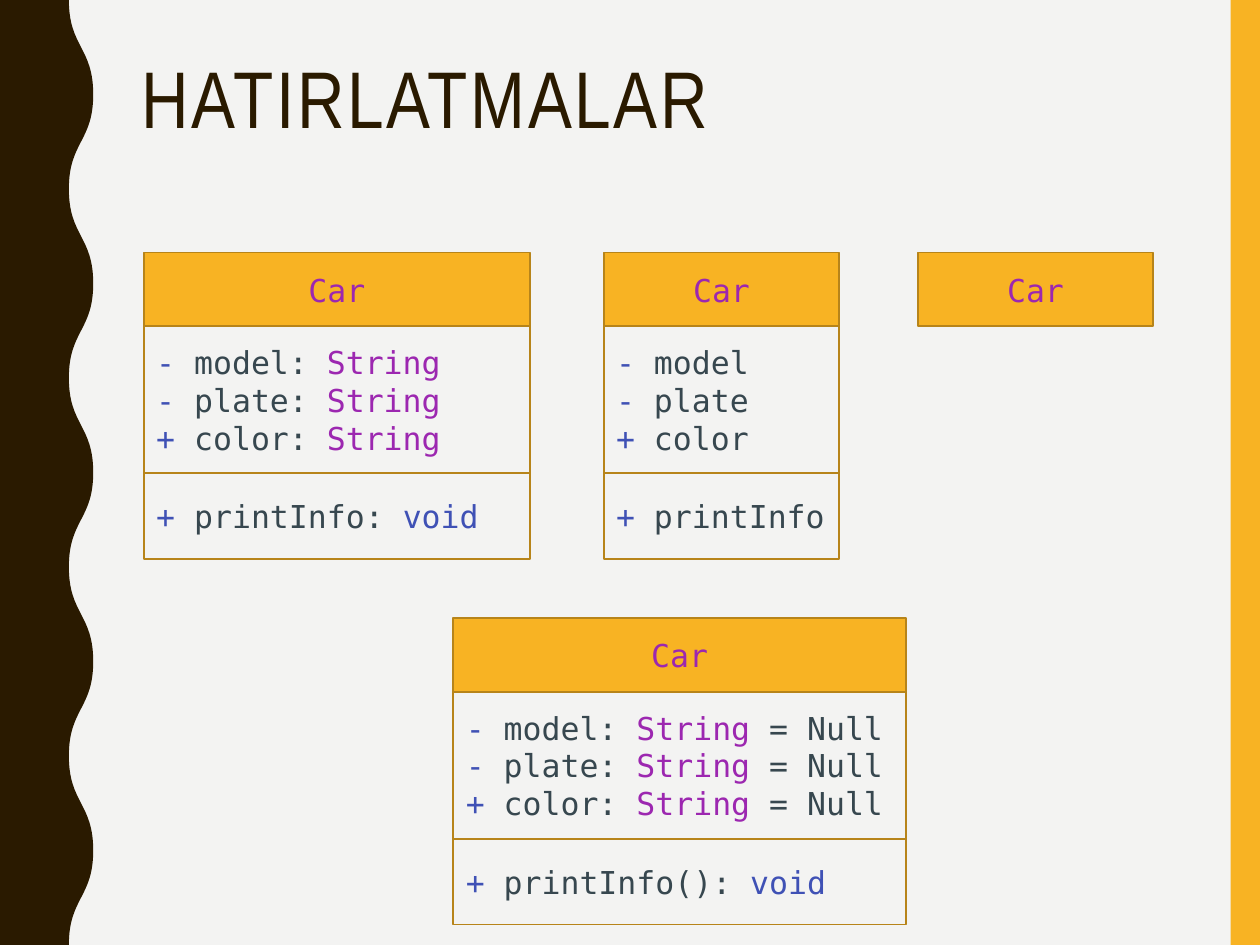
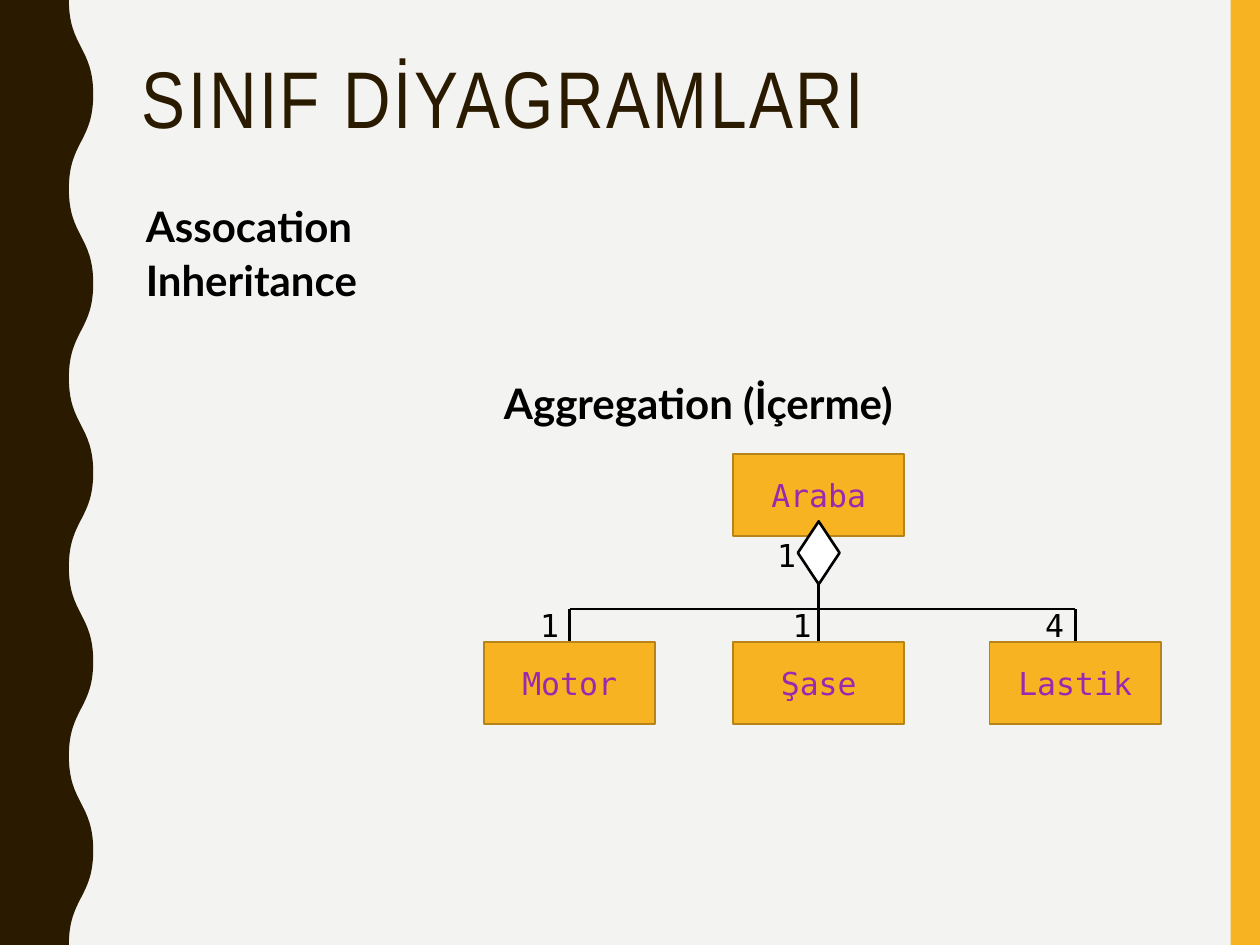
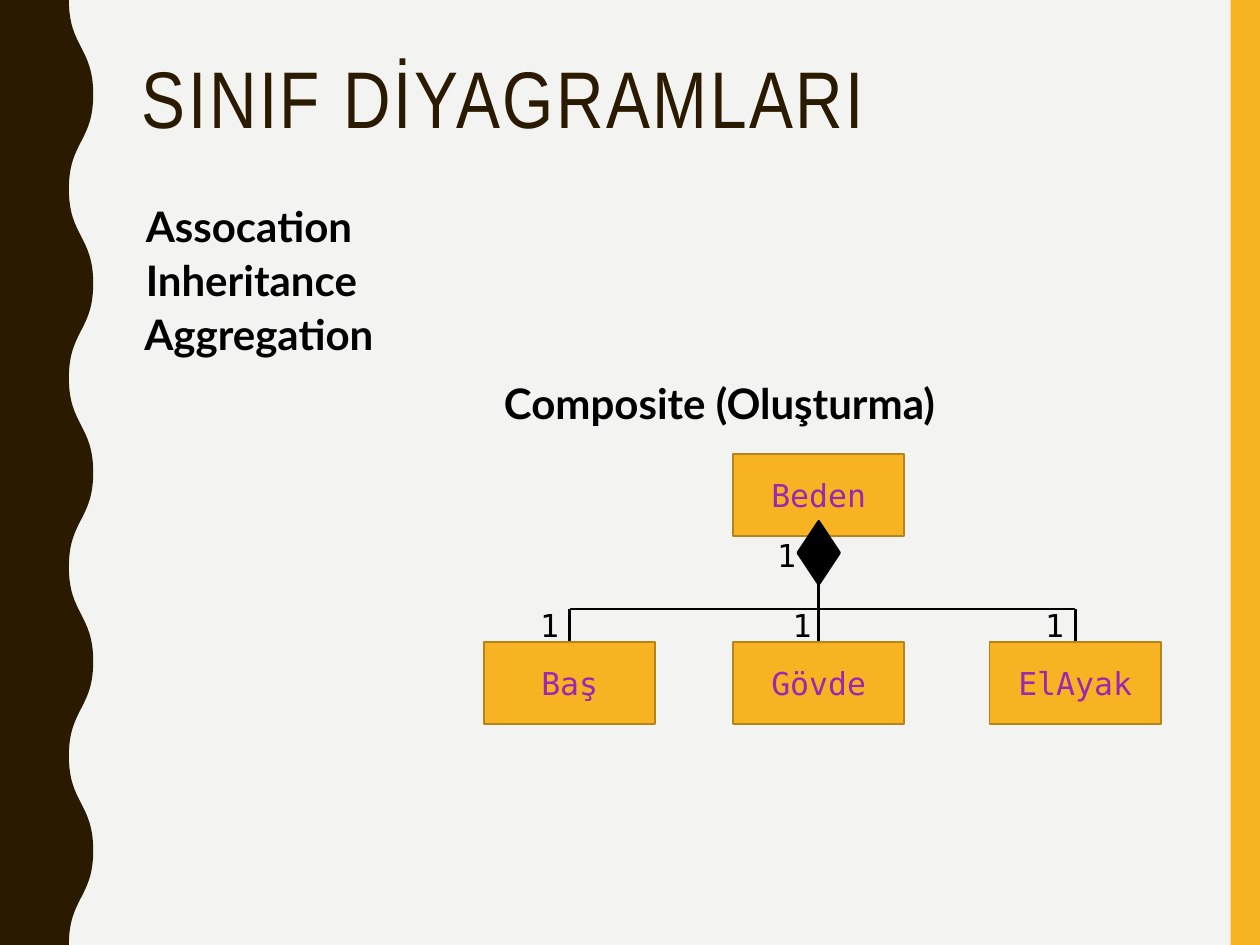
import itertools

import pptx
import pptx.dml.color
import pptx.enum.shapes
import pptx.enum.text
import pptx.oxml.ns
import pptx.util
from lxml import etree

Cm = pptx.util.Cm
Pt = pptx.util.Pt
qn = pptx.oxml.ns.qn
SHAPES = pptx.enum.shapes.MSO_SHAPE
ALIGN = pptx.enum.text.PP_ALIGN
ANCHOR = pptx.enum.text.MSO_ANCHOR

PAPER, BROWN, AMBER, OCHRE = "F3F3F2", "2A1A00", "F8B323", "B7841A"
PURPLE, BLUE, GREY = "9C27B0", "3F51B5", "37474F"
BLACK, WHITE = "000000", "FFFFFF"
WORD_COLORS = {"-": BLUE, "+": BLUE, "void": BLUE, "String": PURPLE}
CODE, TITLE, HEADING = "DejaVu Sans Mono", "Arial Narrow", "Lato"

WIDTH, HEIGHT = 25.4, 19.05
BAND_WIDTH = 0.59
WAVE_INNER, WAVE_OUTER, WAVE_HALVES = 1.39, 1.88, 10
HEAD_HEIGHT, FIELDS_HEIGHT, METHODS_HEIGHT = 1.49, 2.96, 1.73
NODE_WIDTH, NODE_HEIGHT = 3.45, 1.65
ROOT_TOP, CHILD_TOP, BAR_TOP = 9.15, 12.94, 12.28
CHILD_LEFTS = [9.76, 14.78, 19.95]
COUNT_LEFTS = [10.64, 15.73, 20.82]
COUNT_WIDTH, COUNT_HEIGHT, COUNT_TOP = 1.09, 1.02, 12.09
DIAMOND_WIDTH, DIAMOND_HEIGHT, DIAMOND_TOP = 0.84, 1.27, 10.51

CLASSES = [
    {"at": (2.9, 5.09), "width": 7.78, "name": "Car",
     "fields": ["- model: String", "- plate: String", "+ color: String"],
     "methods": ["+ printInfo: void"]},
    {"at": (12.17, 5.09), "width": 4.75, "name": "Car",
     "fields": ["- model", "- plate", "+ color"],
     "methods": ["+ printInfo"]},
    {"at": (18.5, 5.09), "width": 4.75, "name": "Car"},
    {"at": (9.14, 12.46), "width": 9.12, "name": "Car",
     "fields": ["- model: String = Null", "- plate: String = Null",
                "+ color: String = Null"],
     "methods": ["+ printInfo(): void"]},
]

KNOWN = [
    {"name": "Assocation", "left": 2.69, "width": 5.36},
    {"name": "Inheritance", "left": 2.69, "width": 5.36},
    {"name": "Aggregation", "left": 2.66, "width": 5.64},
]

RELATIONS = [
    {"known": KNOWN[:2], "heading": "Aggregation (İçerme)",
     "diamond": WHITE, "root": "Araba",
     "children": [("Motor", "1"), ("Şase", "1"), ("Lastik", "4")]},
    {"known": KNOWN, "heading": "Composite (Oluşturma)",
     "diamond": BLACK, "root": "Beden",
     "children": [("Baş", "1"), ("Gövde", "1"), ("ElAyak", "1")]},
]


def color(value):
    return pptx.dml.color.RGBColor.from_string(value)


def write(frame, lines, font=CODE, size=18, ink=BLACK, bold=False,
          align=ALIGN.LEFT, anchor=ANCHOR.TOP, line_spacing=None, tracking=None):
    frame.word_wrap = True
    frame.vertical_anchor = anchor
    for index, line in enumerate(lines):
        para = frame.add_paragraph() if index else frame.paragraphs[0]
        para.alignment = align
        if line_spacing:
            para.line_spacing = line_spacing
        for text, span_ink in [(line, ink)] if isinstance(line, str) else line:
            span = para.add_run()
            span.text = text
            span.font.name = font
            span.font.size = Pt(size)
            span.font.bold = bold
            span.font.color.rgb = color(span_ink)
            if tracking:
                span.font._element.set("spc", str(int(tracking * 100)))


def add_text(page, text, left, top, width, height, grow=True, **style):
    box = page.shapes.add_textbox(Cm(left), Cm(top), Cm(width), Cm(height))
    write(box.text_frame, [text], **style)
    if grow:
        box.text_frame.auto_size = pptx.enum.text.MSO_AUTO_SIZE.SHAPE_TO_FIT_TEXT


def paint(shape, fill=None, line=None, weight=1):
    shape.shadow.inherit = False
    if fill:
        shape.fill.solid()
        shape.fill.fore_color.rgb = color(fill)
    else:
        shape.fill.background()
    if line:
        shape.line.color.rgb = color(line)
        shape.line.width = Pt(weight)
    else:
        shape.line.fill.background()


def add_box(page, left, top, width, height, kind=SHAPES.RECTANGLE, **look):
    box = page.shapes.add_shape(kind, Cm(left), Cm(top), Cm(width), Cm(height))
    paint(box, **look)
    return box


def add_name_box(page, name, left, top, width, height):
    box = add_box(page, left, top, width, height, fill=AMBER, line=OCHRE)
    write(box.text_frame, [name], ink=PURPLE, align=ALIGN.CENTER,
          anchor=ANCHOR.MIDDLE)


def add_line(page, start_x, start_y, end_x, end_y):
    line = page.shapes.add_connector(
        pptx.enum.shapes.MSO_CONNECTOR.STRAIGHT,
        Cm(start_x), Cm(start_y), Cm(end_x), Cm(end_y))
    line.line.color.rgb = color(BLACK)
    line.line.width = Pt(1.5)
    etree.SubElement(line._element.spPr, qn("a:effectLst"))


def add_wave(page):
    rise = HEIGHT / WAVE_HALVES
    knots = [(Cm(WAVE_OUTER if index % 2 else WAVE_INNER), Cm(rise * index))
             for index in range(WAVE_HALVES + 1)]
    builder = page.shapes.build_freeform(*knots[0])
    builder.add_line_segments(knots[1:] + [(0, Cm(HEIGHT)), (0, 0)])
    wave = builder.convert_to_shape()
    segments = list(wave._element.iter(qn("a:lnTo")))
    for segment, start, end in zip(segments, knots, knots[1:]):
        segment.tag = qn("a:cubicBezTo")
        middle = (start[1] + end[1]) // 2
        for index, knot in enumerate([start, end]):
            control = etree.Element(qn("a:pt"), x=str(knot[0]), y=str(middle))
            segment.insert(index, control)
    paint(wave, fill=BROWN)
    return wave


def decorate(layout, page):
    layout.background.fill.solid()
    layout.background.fill.fore_color.rgb = color(PAPER)
    band = add_box(page, WIDTH - BAND_WIDTH, 0, BAND_WIDTH, HEIGHT, fill=AMBER)
    for shape in [band, add_wave(page)]:
        layout.shapes._spTree.append(shape._element)


def add_title(page, title):
    add_text(page, title, 2.61, 1.07, 21.21, 1.65, grow=False, font=TITLE,
             size=45.9, ink=BROWN, line_spacing=0.9, tracking=1.5)


def color_words(line):
    spans = []
    for ink, words in itertools.groupby(
            line.split(), lambda word: WORD_COLORS.get(word, GREY)):
        text = " ".join(words)
        spans.append((f" {text} " if ink == GREY else text, ink))
    last_text, last_ink = spans[-1]
    return spans[:-1] + [(last_text.rstrip(), last_ink)]


def add_class(page, item):
    left, top = item["at"]
    width = item["width"]
    add_name_box(page, item["name"], left, top, width, HEAD_HEIGHT)
    top += HEAD_HEIGHT
    for part, height in [("fields", FIELDS_HEIGHT), ("methods", METHODS_HEIGHT)]:
        if part in item:
            box = add_box(page, left, top, width, height, line=OCHRE)
            write(box.text_frame, [color_words(line) for line in item[part]],
                  anchor=ANCHOR.MIDDLE)
            top += height


def add_tree(page, relation):
    centers = [left + NODE_WIDTH / 2 for left in CHILD_LEFTS]
    middle = centers[1]
    add_name_box(page, relation["root"], CHILD_LEFTS[1], ROOT_TOP,
                 NODE_WIDTH, NODE_HEIGHT)
    for (name, count), left, center, count_left in zip(
            relation["children"], CHILD_LEFTS, centers, COUNT_LEFTS):
        add_line(page, center, BAR_TOP, center, CHILD_TOP)
        add_name_box(page, name, left, CHILD_TOP, NODE_WIDTH, NODE_HEIGHT)
        add_text(page, count, count_left, COUNT_TOP, COUNT_WIDTH, COUNT_HEIGHT)
    add_line(page, centers[0], BAR_TOP, centers[-1], BAR_TOP)
    add_line(page, middle, 10.87, middle, BAR_TOP)
    add_box(page, middle - DIAMOND_WIDTH / 2, DIAMOND_TOP, DIAMOND_WIDTH,
            DIAMOND_HEIGHT, kind=SHAPES.DIAMOND, fill=relation["diamond"],
            line=BLACK, weight=1.5)
    add_text(page, "1", middle - COUNT_WIDTH, 10.68, COUNT_WIDTH, COUNT_HEIGHT)


deck = pptx.Presentation()
deck.slide_width, deck.slide_height = Cm(WIDTH), Cm(HEIGHT)
layout = deck.slide_layouts[6]

page = deck.slides.add_slide(layout)
decorate(layout, page)
add_title(page, "HATIRLATMALAR")
for item in CLASSES:
    add_class(page, item)

for relation in RELATIONS:
    page = deck.slides.add_slide(layout)
    add_title(page, "SINIF DİYAGRAMLARI")
    heading_style = {"font": HEADING, "size": 24, "bold": True}
    for index, known in enumerate(relation["known"]):
        add_text(page, known["name"], known["left"], 3.91 + 1.09 * index,
                 known["width"], 1.27, **heading_style)
    add_text(page, relation["heading"], 9.91, 7.49, 11.07, 1.27, **heading_style)
    add_tree(page, relation)

deck.save("out.pptx")
